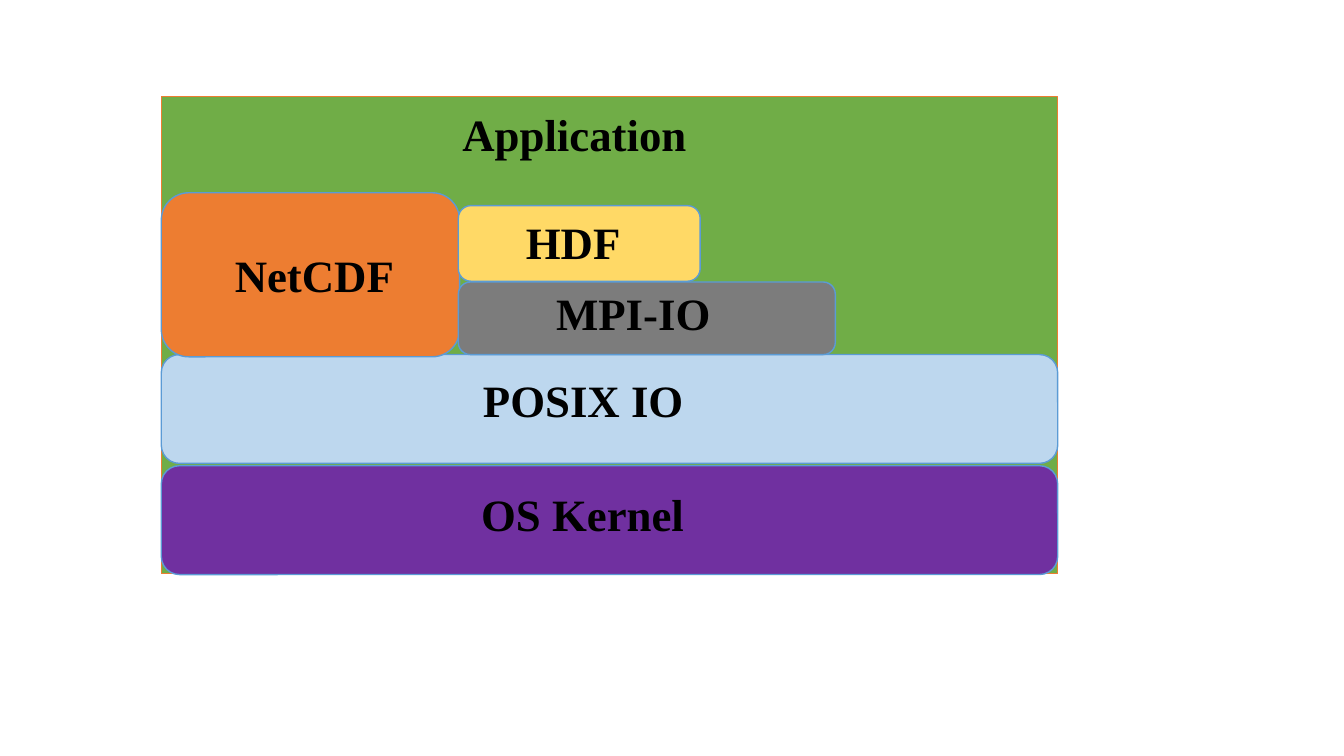
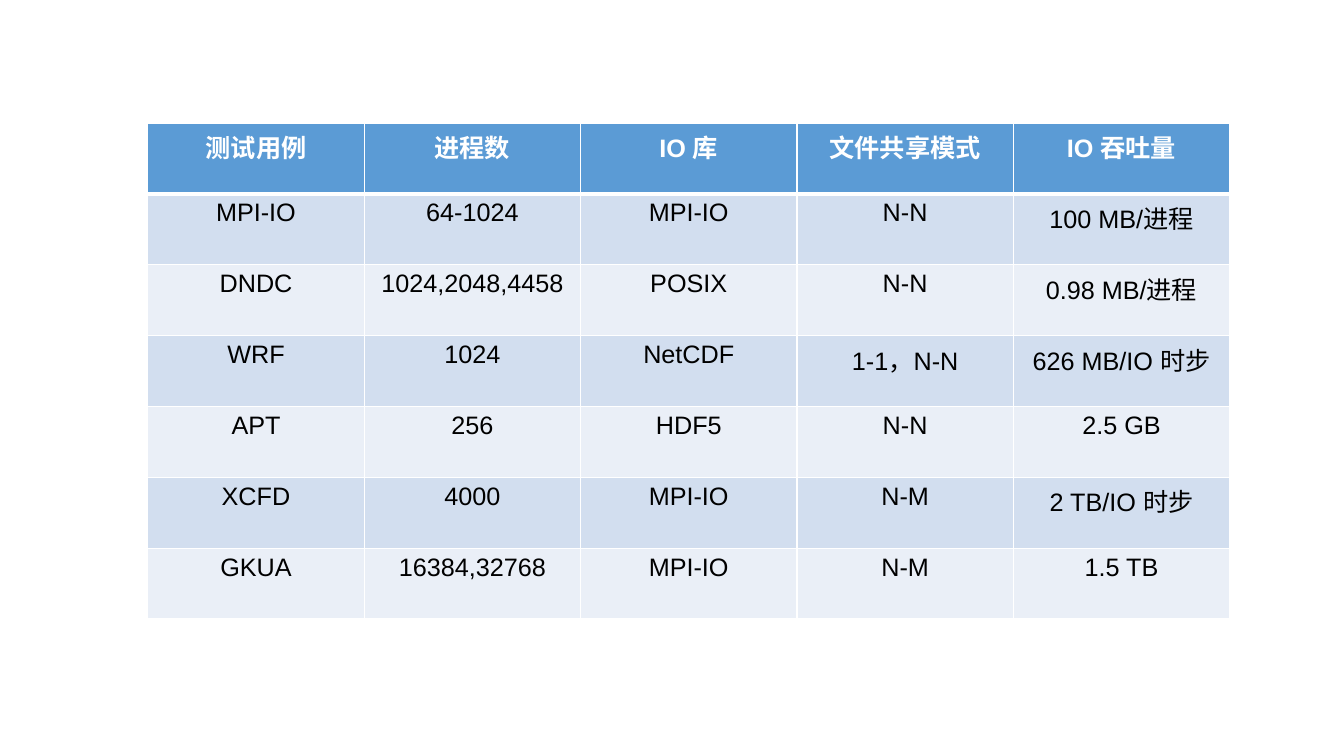
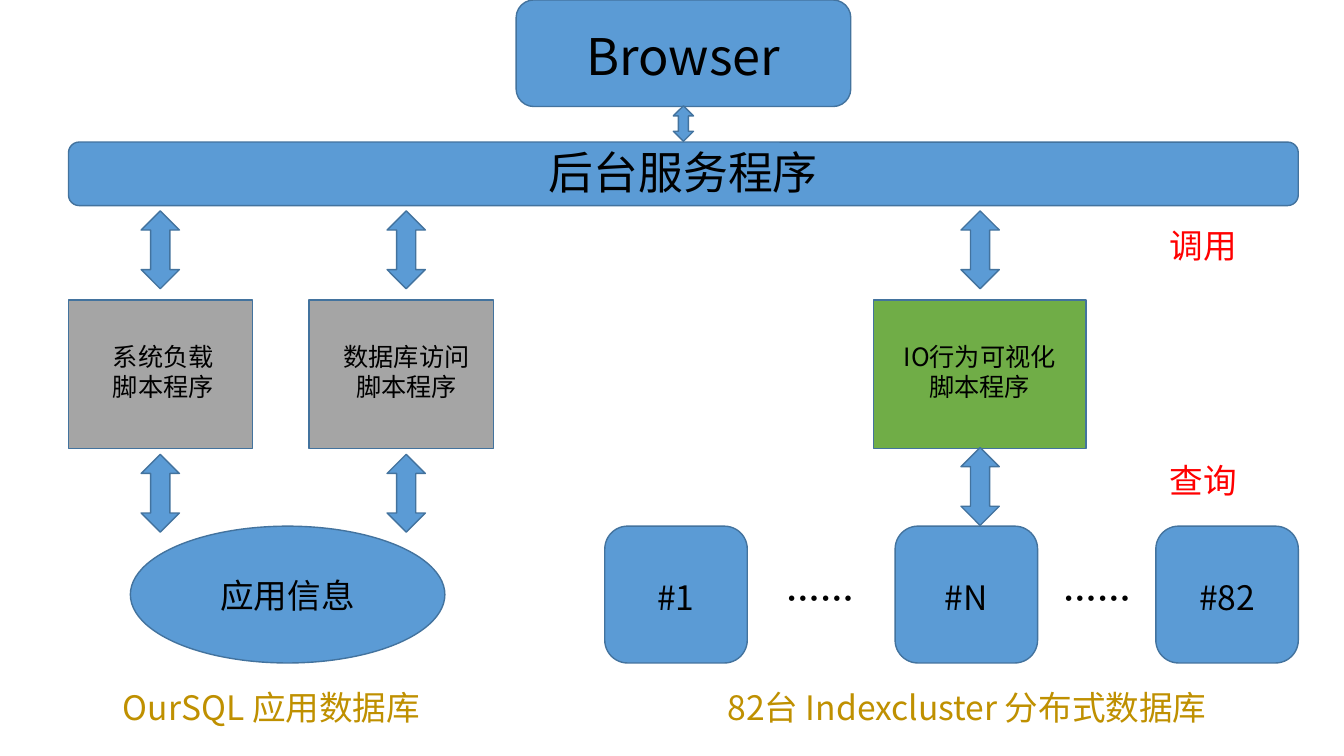
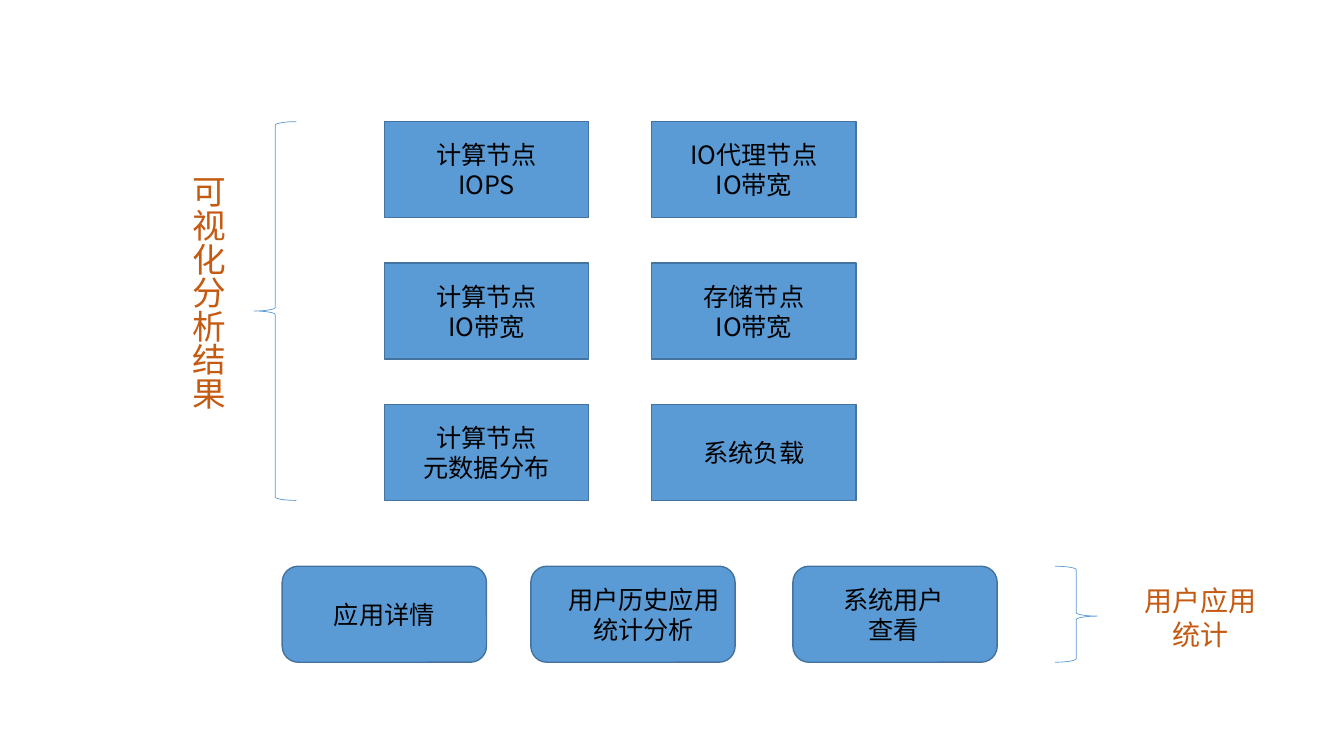
from dataclasses import dataclass

from lxml.etree import SubElement
from pptx import Presentation
from pptx.dml.color import RGBColor
from pptx.enum.shapes import MSO_SHAPE
from pptx.enum.text import MSO_ANCHOR, PP_ALIGN
from pptx.oxml import parse_xml
from pptx.oxml.ns import nsdecls, qn
from pptx.util import Inches, Pt


@dataclass(frozen=True)
class Theme:
    # Colours
    blue: str = "5B9BD5"
    edge: str = "43739E"
    green: str = "70AD47"
    orange: str = "ED7D31"
    purple: str = "7030A0"
    pale: str = "BDD7EE"
    yellow: str = "FFD966"
    dark: str = "7C7C7C"
    grey: str = "A5A5A5"
    gold: str = "BF9000"
    rust: str = "C55A11"
    red: str = "FF0000"
    black: str = "000000"
    white: str = "FFFFFF"
    bands: tuple = ("EAEFF7", "D2DEEF")
    # Fonts and type sizes
    sans: str = "Noto Sans CJK SC"
    serif: str = "Times New Roman"
    grid: str = "Arial"
    small: int = 18
    note: int = 20
    mid: int = 24
    large: int = 32
    huge: int = 36


T = Theme()

# The slide is a grid of 100 columns and 100 rows
WIDE, HIGH = Inches(13.33), Inches(7.5)
PAD = 0.7

RECT, ROUND = MSO_SHAPE.RECTANGLE, MSO_SHAPE.ROUNDED_RECTANGLE
OVAL, ARROW = MSO_SHAPE.OVAL, MSO_SHAPE.UP_DOWN_ARROW


def col(n):
    return round(n * WIDE / 100)


def row(n):
    return round(n * HIGH / 100)


def place(x, y, w, h):
    return col(x), row(y), col(w), row(h)


def rgb(code):
    return RGBColor.from_string(code)


def style(frame, size, color=T.black, font=T.sans, bold=False):
    """Centre every paragraph and format its runs."""
    for para in frame.paragraphs:
        para.alignment = PP_ALIGN.CENTER
        for run in para.runs:
            run.font.size = Pt(size)
            run.font.bold = bold
            run.font.color.rgb = rgb(color)
            run.font.name = font
            east = SubElement(run.font._element, qn("a:ea"))
            east.set("typeface", T.sans)


def inset(frame, pad=PAD, shift=(0, 0)):
    """Set the margins; shift moves the text off centre by columns and rows."""
    dx, dy = shift
    frame.word_wrap = True
    frame.margin_left = col(pad + max(2 * dx, 0))
    frame.margin_right = col(pad + max(-2 * dx, 0))
    frame.margin_top = row(PAD + max(2 * dy, 0))
    frame.margin_bottom = row(PAD + max(-2 * dy, 0))


def block(slide, kind, box, fill=T.blue, line=T.edge, width=1):
    """A preset shape; fill None leaves it open."""
    shape = slide.shapes.add_shape(kind, *place(*box))
    shape.shadow.inherit = False
    if fill:
        shape.fill.solid()
        shape.fill.fore_color.rgb = rgb(fill)
    else:
        shape.fill.background()
    shape.line.color.rgb = rgb(line)
    shape.line.width = Pt(width)
    return shape


def write(shape, text, size, pad=PAD, shift=(0, 0), **look):
    """Text in the middle of a shape."""
    frame = shape.text_frame
    frame.text = text
    frame.vertical_anchor = MSO_ANCHOR.MIDDLE
    inset(frame, pad, shift)
    style(frame, size, **look)


def label(slide, box, text, size, color=T.black, bold=False):
    """Free text."""
    frame = slide.shapes.add_textbox(*place(*box)).text_frame
    frame.text = text
    inset(frame)
    style(frame, size, color, bold=bold)
    return frame


def border(cell, side, width):
    edge = parse_xml(
        f'<a:{side} {nsdecls("a")} w="{Pt(width)}"><a:solidFill>'
        f'<a:srgbClr val="{T.white}"/></a:solidFill></a:{side}>')
    cell._tc.get_or_add_tcPr().append(edge)


def table(slide, box, data):
    """A table with a header row and banded body rows."""
    frame = slide.shapes.add_table(len(data), len(data[0]), *place(*box))
    grid = frame.table
    for i, line in enumerate(data):
        head = i == 0
        for j, text in enumerate(line):
            cell = grid.cell(i, j)
            cell.text = text
            style(cell.text_frame, T.small, T.white if head else T.black,
                  T.grid, head)
            for side in ("lnL", "lnR", "lnT", "lnB"):
                thick = (i, side) in ((0, "lnB"), (1, "lnT"))
                border(cell, side, 3 if thick else 1)
            cell.fill.solid()
            cell.fill.fore_color.rgb = rgb(T.blue if head else T.bands[i % 2])


def stack(slide):
    """Layers of the IO software stack."""
    left, full, mid = 12, 66.7, 34.1
    layers = (
        (RECT, (left, 12.8, full, 63.1), T.green, T.orange,
         "Application", (-2.6, -26.7)),
        (ROUND, (left, 61.6, full, 14.4), T.purple, T.blue,
         "OS Kernel", (-2, -0.8)),
        (ROUND, (left, 46.9, full, 14.4), T.pale, T.blue,
         "POSIX IO", (-1.95, -1.2)),
        (ROUND, (left, 25.5, 22.2, 21.7), T.orange, T.blue,
         "NetCDF", (0.3, 0)),
        (ROUND, (mid, 37.3, 28.05, 9.6), T.dark, T.blue,
         "MPI-IO", (-1, -0.8)),
        (ROUND, (mid, 27.2, 18, 10), T.yellow, T.blue,
         "HDF", (-0.45, -0.2)),
    )
    for kind, box, fill, line, text, shift in layers:
        shape = block(slide, kind, box, fill, line)
        write(shape, text, T.large, shift=shift, font=T.serif, bold=True)


def cases(slide):
    """Table of test cases."""
    table(slide, (11, 16.3, 80.5, 65.6), (
        ("测试用例", "进程数", "IO 库", "文件共享模式", "IO 吞吐量"),
        ("MPI-IO", "64-1024", "MPI-IO", "N-N", "100 MB/进程"),
        ("DNDC", "1024,2048,4458", "POSIX", "N-N", "0.98 MB/进程"),
        ("WRF", "1024", "NetCDF", "1-1，N-N", "626 MB/IO 时步"),
        ("APT", "256", "HDF5", "N-N", "2.5 GB"),
        ("XCFD", "4000", "MPI-IO", "N-M", "2 TB/IO 时步"),
        ("GKUA", "16384,32768", "MPI-IO", "N-M", "1.5 TB"),
    ))


def system(slide):
    """Browser, service, scripts and databases, from top to bottom."""
    # Browser and service
    write(block(slide, ROUND, (38.4, 0, 24.9, 14.1)), "Browser", T.huge,
          shift=(0, 0.3))
    write(block(slide, ROUND, (5.1, 18.8, 91.5, 8.4)), "后台服务程序", T.large,
          shift=(0, -0.3))

    # Scripts
    for x, w, fill, text, dx in (
            (5.1, 13.7, T.grey, "系统负载\n脚本程序", 0.2),
            (23, 13.7, T.grey, "数据库访问脚本程序", 0.4),
            (65, 15.8, T.green, "IO行为可视化脚本程序", 0)):
        write(block(slide, RECT, (x, 39.7, w, 19.6), fill), text, T.small,
              pad=1.5, shift=(dx, -0.4))

    # Databases
    base, tall = 69.6, 18.1
    write(block(slide, OVAL, (9.7, base, 23.4, tall)), "应用信息", T.mid)
    for x, text in (45, "#1"), (66.6, "#N"), (86, "#82"):
        write(block(slide, ROUND, (x, base, 10.6, tall)), text, T.mid,
              shift=(0, 0.3))
    for x in 57.2, 77.8:
        label(slide, (x, 75.7, 7.7, 6.7), "……", T.mid, bold=True)

    # Captions
    for x, w, text in ((8, 24.4, "OurSQL 应用数据库"),
                       (51.2, 41.5, "82台 Indexcluster 分布式数据库")):
        label(slide, (x, 90.1, w, 6.7), text, T.mid, T.gold)
    for y, text in (29.1, "调用"), (60.1, "查询"):
        label(slide, (86, y, 7.1, 6.7), text, T.mid, T.red)

    # Arrows
    block(slide, ARROW, (50.1, 14, 1.5, 4.7))
    for x, low in (10.5, 60.1), (28.8, 60.1), (71.5, 59.2):
        for y in 27.9, low:
            block(slide, ARROW, (x, y, 2.85, 10.3))


def views(slide):
    """Analysis views and user statistics."""
    wide, tall = 15.2, 12.7
    top, step, base = 16.1, 18.7, 74.9

    # Analysis results
    results = (("计算节点\nIOPS", "IO代理节点\nIO带宽"),
               ("计算节点\nIO带宽", "存储节点\nIO带宽"),
               ("计算节点\n元数据分布", "系统负载"))
    for i, pair in enumerate(results):
        for x, text in zip((28.6, 48.5), pair):
            box = x, top + i * step, wide, tall
            write(block(slide, RECT, box), text, T.small)

    # User statistics
    for x, text, dx in ((21, "应用详情", 0),
                        (39.5, "用户历史应用统计分析", 0.8),
                        (59, "系统用户\n查看", -0.1)):
        write(block(slide, ROUND, (x, base, wide, tall)), text, T.small,
              shift=(dx, 0))

    # Braces and their titles
    block(slide, MSO_SHAPE.LEFT_BRACE, (18.9, top, 3.15, 2 * step + tall),
          None, T.blue, 0.5)
    brace = block(slide, MSO_SHAPE.RIGHT_BRACE, (78.5, base, 3.15, tall),
                  None, T.blue, 0.5)
    brace.adjustments[1] = 0.52
    title = label(slide, (13.1, 22.5, 4.6, 37.3), "可视化分析结果", T.mid,
                  T.rust)
    title._txBody.bodyPr.set("vert", "eaVert")
    label(slide, (84.3, 76.5, 10.1, 10.3), "用户应用统计", T.note, T.rust)


def main():
    deck = Presentation()
    deck.slide_width, deck.slide_height = WIDE, HIGH
    blank = deck.slide_layouts[6]
    for draw in stack, cases, system, views:
        draw(deck.slides.add_slide(blank))
    deck.save("out.pptx")


if __name__ == "__main__":
    main()
